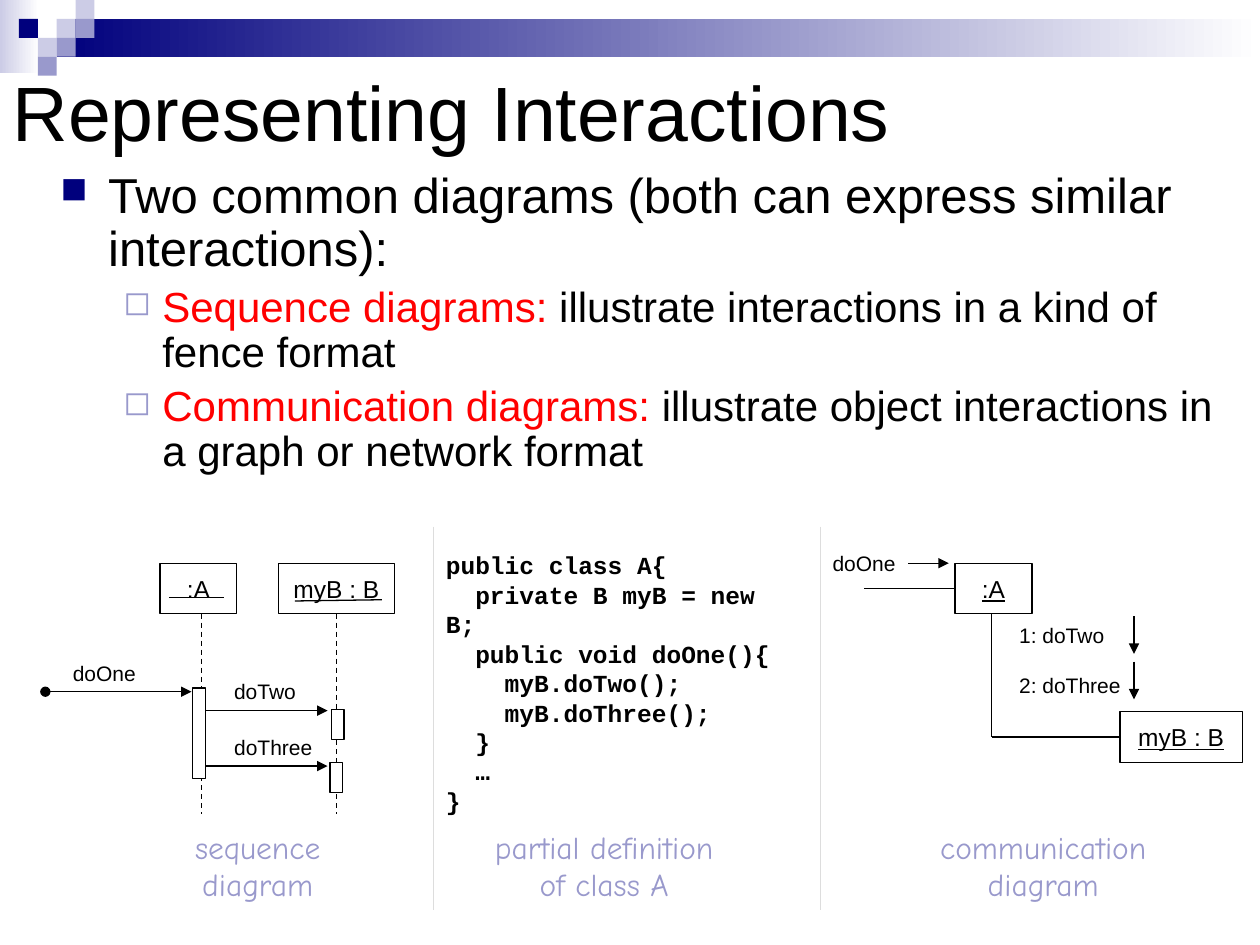
from lxml.etree import SubElement
from pptx import Presentation
from pptx.dml.color import RGBColor
from pptx.enum.dml import MSO_LINE_DASH_STYLE as Dash
from pptx.enum.shapes import MSO_CONNECTOR, MSO_SHAPE
from pptx.enum.text import MSO_ANCHOR as Anchor, PP_ALIGN as Align
from pptx.oxml.ns import qn
from pptx.util import Inches, Pt

BLACK = RGBColor(0x00, 0x00, 0x00)
WHITE = RGBColor(0xFF, 0xFF, 0xFF)
NAVY = RGBColor(0x00, 0x00, 0x7D)
LAVENDER = RGBColor(0x99, 0x99, 0xCC)
PALE = RGBColor(0xCC, 0xCC, 0xE6)
RED = RGBColor(0xFF, 0x00, 0x00)
GREY = RGBColor(0xDD, 0xDD, 0xDD)

BOTTOM, LEFT = 2, 1  # connection sites of a rectangle

CODE = """public class A{
  private B myB = new B;
  public void doOne(){
    myB.doTwo();
    myB.doThree();
  }
  …
}"""


def style_font(paragraph, size, name="Arial", color=BLACK, bold=None):
    font = paragraph.font
    font.size, font.name, font.bold = Pt(size), name, bold
    font.color.rgb = color


def add_rect(slide, left, top, width, height, fill=None, outline=None):
    rect = slide.shapes.add_shape(MSO_SHAPE.RECTANGLE, Inches(left), Inches(top),
                                  Inches(width), Inches(height))
    rect.shadow.inherit = False
    if fill is None:
        rect.fill.background()
    else:
        rect.fill.solid()
        rect.fill.fore_color.rgb = fill
    if outline is None:
        rect.line.fill.background()
    else:
        rect.line.color.rgb = outline
        rect.line.width = Pt(0.75)
    return rect


def add_fade(slide, left, top, width, height, color):
    fill = add_rect(slide, left, top, width, height).fill
    fill.gradient()
    fill.gradient_angle = 0
    for stop, shade in zip(fill.gradient_stops, (color, WHITE)):
        stop.color.rgb = shade


def add_object(slide, left, top, width, name, underline=None):
    box = add_rect(slide, left, top, width, 0.4, WHITE, BLACK)
    frame = box.text_frame
    frame.word_wrap = False
    frame.vertical_anchor = Anchor.MIDDLE
    label = frame.paragraphs[0]
    label.text, label.alignment = name, Align.CENTER
    style_font(label, 14)
    label.font.underline = underline
    return box


def add_line(slide, x1, y1, x2, y2, color=BLACK, dash=None, head=None, tail=None):
    line = slide.shapes.add_connector(MSO_CONNECTOR.STRAIGHT, Inches(x1), Inches(y1),
                                      Inches(x2), Inches(y2))
    line.line.color.rgb = color
    line.line.width = Pt(0.75)
    if dash:
        line.line.dash_style = dash
    ln = line.line._get_or_add_ln()
    for tag, kind in (("a:headEnd", head), ("a:tailEnd", tail)):
        if kind:
            SubElement(ln, qn(tag), type=kind)
    SubElement(line._element.spPr, qn("a:effectLst"))
    return line


def add_text(slide, left, top, width, height, lines, size, name="Arial", color=BLACK,
             bold=None, align=Align.LEFT, wrap=False, gap=0):
    box = slide.shapes.add_textbox(Inches(left), Inches(top), Inches(width), Inches(height))
    frame = box.text_frame
    frame.word_wrap = wrap
    for i, text in enumerate(lines):
        paragraph = frame.add_paragraph() if i else frame.paragraphs[0]
        paragraph.text, paragraph.alignment = text, align
        if i and gap:
            paragraph.space_before = Pt(gap)
        style_font(paragraph, size, name, color, bold)


def add_message(slide, left, top, text, width=0.7):
    add_text(slide, left, top, width, 0.3, [text], 12)


def add_caption(slide, left, width, *lines):
    add_text(slide, left, 6.52, width, 0.7, lines, 18, "Comic Neue", LAVENDER,
             align=Align.CENTER)


def add_bullet(paragraph, runs, size, char, color, percent, margin, indent):
    props = paragraph._p.get_or_add_pPr()
    props.set("marL", str(Inches(margin)))
    props.set("indent", str(Inches(-indent)))
    SubElement(SubElement(props, qn("a:buClr")), qn("a:srgbClr"), val=str(color))
    SubElement(props, qn("a:buSzPct"), val=str(percent * 1000))
    SubElement(props, qn("a:buChar"), char=char)
    paragraph.line_spacing = 0.9
    style_font(paragraph, size)
    for text, shade in runs:
        run = paragraph.add_run()
        run.text = text
        run.font.color.rgb = shade


def add_banner(slide):
    add_fade(slide, 0, 0, 0.31, 0.58, PALE)
    add_fade(slide, 0.45, 0.15, 9.55, 0.3, NAVY)
    side = 0.15
    for column, row, color in ((3, 1, PALE), (4, 0, PALE), (4, 1, LAVENDER), (2, 2, PALE),
                               (1, 1, NAVY), (3, 2, LAVENDER), (2, 3, LAVENDER)):
        add_rect(slide, column * side, row * side, side, side, color)


def add_title(slide):
    title = slide.shapes.title
    title.left, title.top = Inches(0), Inches(0.25)
    title.width, title.height = Inches(8.5), Inches(1.25)
    title.text_frame.vertical_anchor = Anchor.MIDDLE
    heading = title.text_frame.paragraphs[0]
    heading.text, heading.alignment = "Representing Interactions", Align.LEFT
    style_font(heading, 44)


def add_overview(slide):
    box = slide.shapes.add_textbox(Inches(0.38), Inches(1.31), Inches(9.51), Inches(2.86))
    frame = box.text_frame
    frame.word_wrap = True
    add_bullet(frame.paragraphs[0],
               [("Two common diagrams (both can express similar interactions):", BLACK)],
               28, "■", NAVY, 75, 0.38, 0.38)
    for term, meaning in (
            ("Sequence diagrams:", " illustrate interactions in a kind of fence format"),
            ("Communication diagrams:",
             " illustrate object interactions in a graph or network format")):
        paragraph = frame.add_paragraph()
        paragraph.level = 1
        paragraph.space_before = Pt(5)
        add_bullet(paragraph, [(term, RED), (meaning, BLACK)], 24, "◻", LAVENDER, 80,
                   0.81, 0.31)


def add_sequence_diagram(slide):
    add_object(slide, 1.27, 4.47, 0.61, ":A")
    my_b = add_object(slide, 2.21, 4.47, 0.92, "myB : B")
    # Lifelines
    add_line(slide, 1.6, 4.87, 1.6, 6.46, dash=Dash.DASH)
    add_line(slide, 2.67, 4.87, 2.67, 6.46, dash=Dash.DASH).begin_connect(my_b, BOTTOM)
    # Messages
    add_line(slide, 0.36, 5.49, 1.52, 5.49, head="oval", tail="triangle")
    add_message(slide, 0.48, 5.19, "doOne")
    for y, text, width in ((5.64, "doTwo", 0.7), (6.08, "doThree", 0.85)):
        add_line(slide, 1.6, y, 2.6, y, tail="triangle")
        add_message(slide, 1.76, y - 0.3, text, width)
    # Activation bars
    for left, top, height in ((1.53, 5.46, 0.72), (2.63, 5.63, 0.24), (2.62, 6.05, 0.24)):
        add_rect(slide, left, top, 0.1, height, WHITE, BLACK)
    # Underlines of the object names
    add_line(slide, 1.34, 4.74, 1.78, 4.74)
    add_line(slide, 2.34, 4.77, 3.03, 4.76)
    add_caption(slide, 1.42, 1.25, "sequence", "diagram")


def add_class_definition(slide):
    add_text(slide, 3.44, 4.32, 2.99, 1.96, CODE.split("\n"), 14, "Courier New",
             bold=True, wrap=True)
    add_caption(slide, 3.71, 2.17, "partial definition", "of class A")


def add_communication_diagram(slide):
    a = add_object(slide, 7.58, 4.47, 0.61, ":A", underline=True)
    my_b = add_object(slide, 8.89, 5.65, 0.97, "myB : B", underline=True)
    # Links
    add_line(slide, 6.86, 4.67, 7.58, 4.67).end_connect(a, LEFT)
    add_line(slide, 7.87, 4.87, 7.87, 5.85)
    add_line(slide, 7.87, 5.85, 8.89, 5.85).end_connect(my_b, LEFT)
    # Messages
    add_message(slide, 6.51, 4.32, "doOne")
    add_text(slide, 7.99, 4.89, 1.01, 0.7, ["1: doTwo", "2: doThree"], 12, gap=14)
    add_line(slide, 7.21, 4.47, 7.53, 4.47, tail="triangle")
    for top in (4.89, 5.25):
        add_line(slide, 9, top, 9, top + 0.3, tail="triangle")
    add_caption(slide, 7.3, 1.96, "communication", "diagram")


def main():
    prs = Presentation()
    prs.slide_width, prs.slide_height = Inches(10), Inches(7.5)
    slide = prs.slides.add_slide(prs.slide_layouts[5])
    add_banner(slide)
    add_title(slide)
    add_overview(slide)
    add_sequence_diagram(slide)
    add_class_definition(slide)
    add_communication_diagram(slide)
    # Column dividers
    for x in (3.44, 6.51):
        add_line(slide, x, 4.18, x, 7.22, GREY)
    prs.save("out.pptx")


if __name__ == "__main__":
    main()
